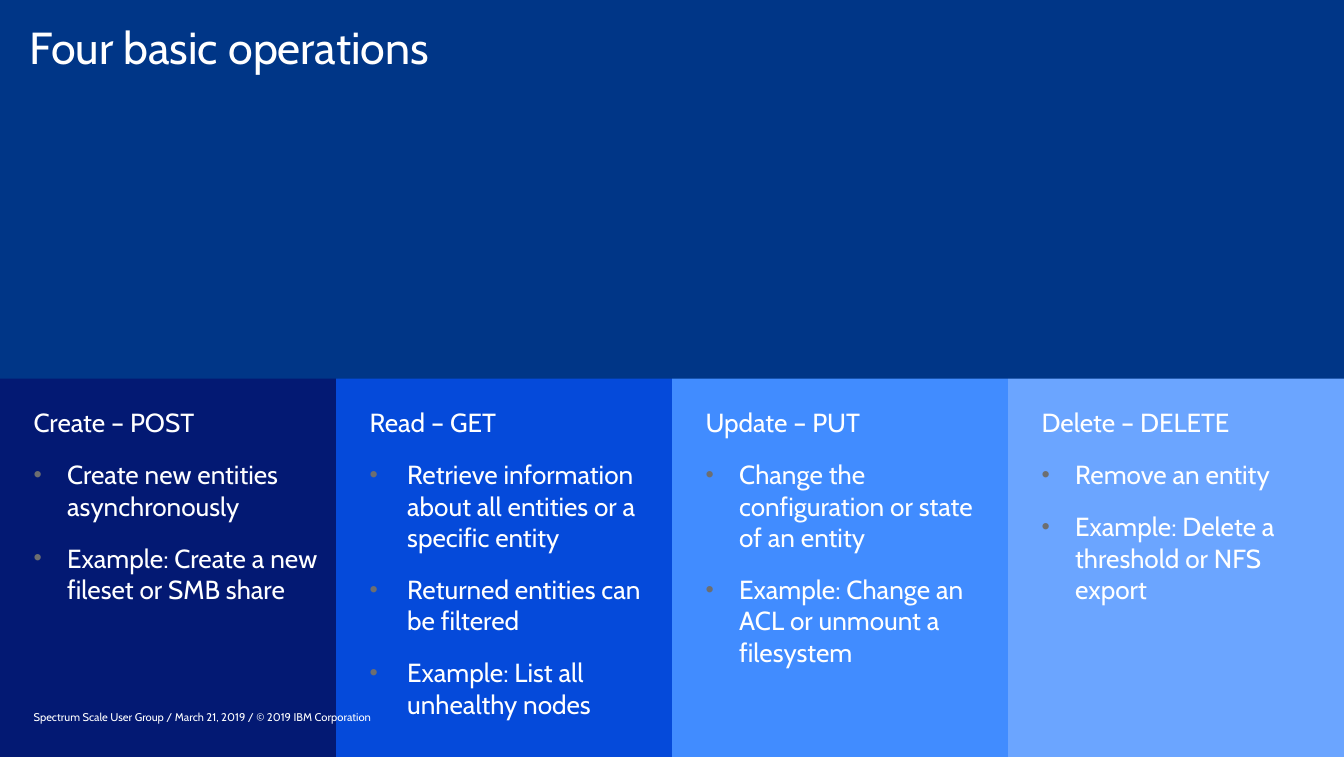
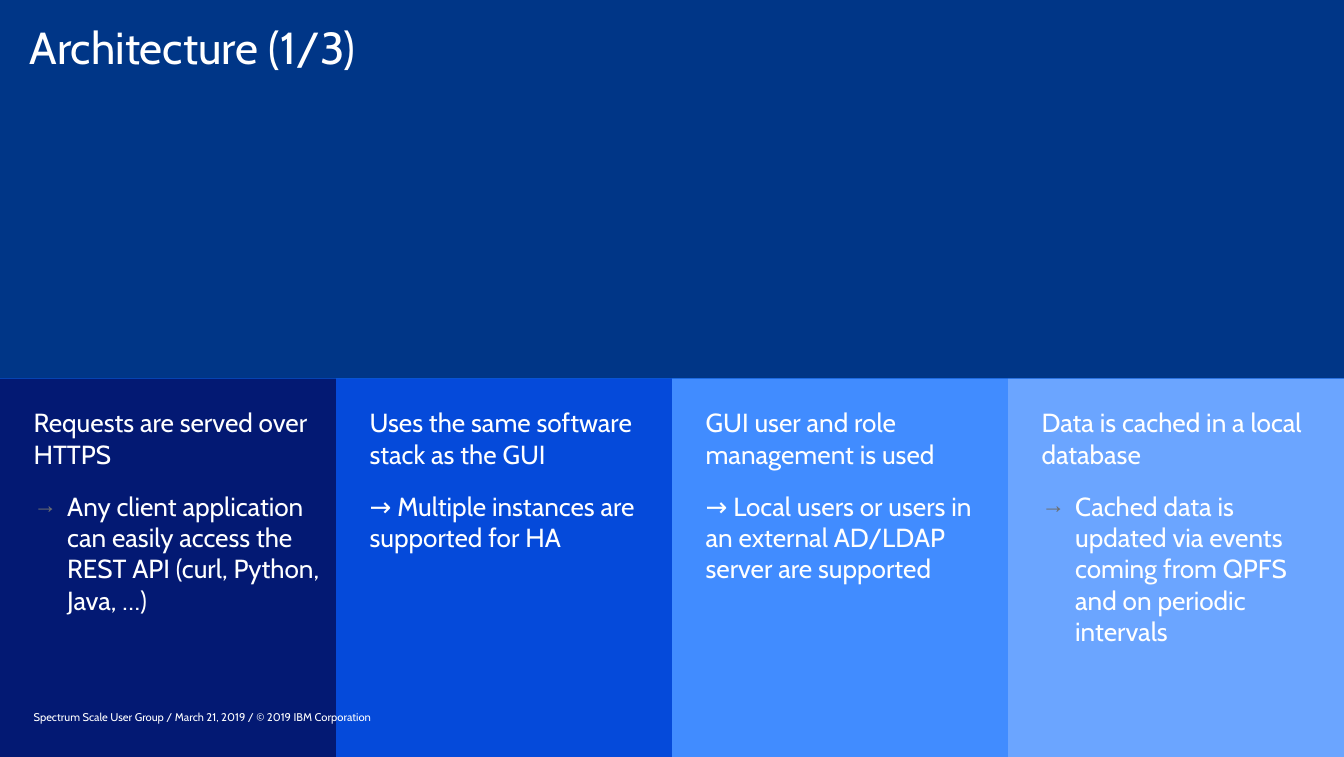
from lxml import etree
from pptx import Presentation
from pptx.dml.color import RGBColor
from pptx.enum.text import MSO_ANCHOR, MSO_AUTO_SIZE, PP_ALIGN
from pptx.oxml.ns import qn
from pptx.util import Inches, Pt

TOP, MIDDLE = MSO_ANCHOR.TOP, MSO_ANCHOR.MIDDLE
NO_FIT, LEFT = MSO_AUTO_SIZE.NONE, PP_ALIGN.LEFT

WIDTH, HEIGHT = 20, 11.26
HALF = HEIGHT / 2
FONT, WHITE, GREY, NAVY = "Cabin", "FFFFFF", "6D6E70", "003687"
FILLS = ["031973", "054ADA", "418CFF", "6BA5FF"]
FOOTER = "Spectrum Scale User Group / March 21, 2019 / © 2019 IBM Corporation"

# Each column: heading, bullet sign, indent, points
SLIDES = [
    ("Four basic operations", NAVY, [
        ("Create – POST", "•", 0.5, [
            "Create new entities asynchronously",
            "Example: Create a new fileset or SMB share"]),
        ("Read – GET", "•", 0.56, [
            "Retrieve information about all entities or a specific entity",
            "Returned entities can be filtered",
            "Example: List all unhealthy nodes"]),
        ("Update – PUT", "•", 0.5, [
            "Change the configuration or state of an entity",
            "Example: Change an ACL or unmount a filesystem"]),
        ("Delete – DELETE", "•", 0.5, [
            "Remove an entity",
            "Example: Delete a threshold or NFS export"]),
    ]),
    ("Architecture (1/3)", "0F6FFF", [
        ("Requests are served over HTTPS", "→", 0.5, [
            "Any client application can easily access the REST API "
            "(curl, Python, Java, …)"]),
        ("Uses the same software stack as the GUI", None, 0, [
            "→ Multiple instances are supported for HA"]),
        ("GUI user and role management is used", None, 0, [
            "→ Local users or users in an external AD/LDAP server "
            "are supported"]),
        ("Data is cached in a local database", "→", 0.5, [
            "Cached data is updated via events coming from QPFS "
            "and on periodic intervals"]),
    ]),
]


def paint(fill, color):
    fill.solid()
    fill.fore_color.rgb = RGBColor.from_string(color)


def place(shape, left, top, width, height):
    shape.left, shape.top = Inches(left), Inches(top)
    shape.width, shape.height = Inches(width), Inches(height)


def frame(shape, insets, anchor=TOP):
    text = shape.text_frame
    text.word_wrap = True
    text.auto_size = NO_FIT
    text.vertical_anchor = anchor
    (text.margin_left, text.margin_top,
     text.margin_right, text.margin_bottom) = map(Inches, insets)
    return text


def style(para, size, before=0):
    para.alignment = LEFT
    para.space_before = Pt(before)
    font = para.font
    font.name, font.size, font.bold = FONT, Pt(size), False
    font.color.rgb = RGBColor.from_string(WHITE)


def mark(para, sign, indent):
    props = para._p.get_or_add_pPr()
    props.set("marL", str(Inches(indent)))
    props.set("indent", str(-Inches(indent)))
    if not sign:
        etree.SubElement(props, qn("a:buNone"))
        return
    tint = etree.SubElement(props, qn("a:buClr"))
    etree.SubElement(tint, qn("a:srgbClr"), val=GREY)
    etree.SubElement(props, qn("a:buSzPct"), val="90000")
    etree.SubElement(props, qn("a:buFont"), typeface="Arial")
    etree.SubElement(props, qn("a:buChar"), char=sign)


def add_title(slide, words):
    title = slide.shapes.title
    place(title, 0, 0, WIDTH, HALF)
    paint(title.fill, NAVY)
    para = frame(title, (0.44, 0.38, 0.25, 0.25)).paragraphs[0]
    para.text = words
    para.line_spacing = 0.9
    style(para, 48)


def add_column(slide, num, column):
    head, sign, indent, points = column
    body = slide.placeholders[num + 1]
    width = WIDTH / len(FILLS)
    place(body, num * width, HALF, width, HALF)
    paint(body.fill, FILLS[num])
    text = frame(body, (0.5, 0.42, 0.25, 0.25))
    para = text.paragraphs[0]
    para.text = head
    mark(para, None, 0)
    style(para, 28)
    for point in points:
        para = text.add_paragraph()
        para.text = point
        mark(para, sign, indent)
        style(para, 28, 22)


def add_footer(slide):
    box = slide.shapes.add_textbox(
        Inches(0.5), Inches(10.48), Inches(9), Inches(0.36))
    para = frame(box, (0, 0, 0, 0), MIDDLE).paragraphs[0]
    para.text = FOOTER
    style(para, 12)


def main():
    deck = Presentation()
    deck.slide_width, deck.slide_height = Inches(WIDTH), Inches(HEIGHT)
    layout = deck.slide_layouts.get_by_name("Comparison")
    for title, ground, columns in SLIDES:
        slide = deck.slides.add_slide(layout)
        paint(slide.background.fill, ground)
        add_title(slide, title)
        for num, column in enumerate(columns):
            add_column(slide, num, column)
        add_footer(slide)
    deck.save("out.pptx")


if __name__ == "__main__":
    main()
